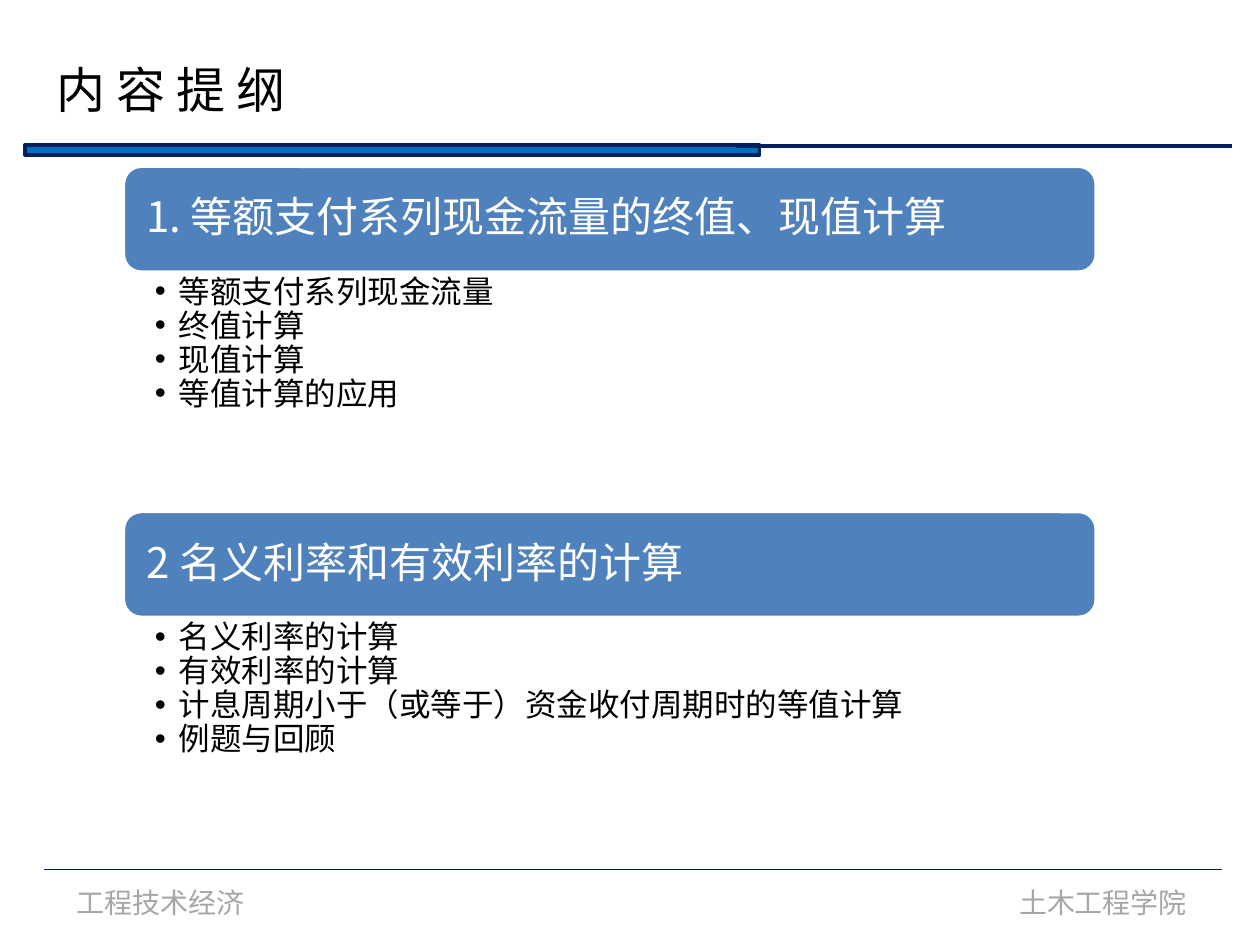
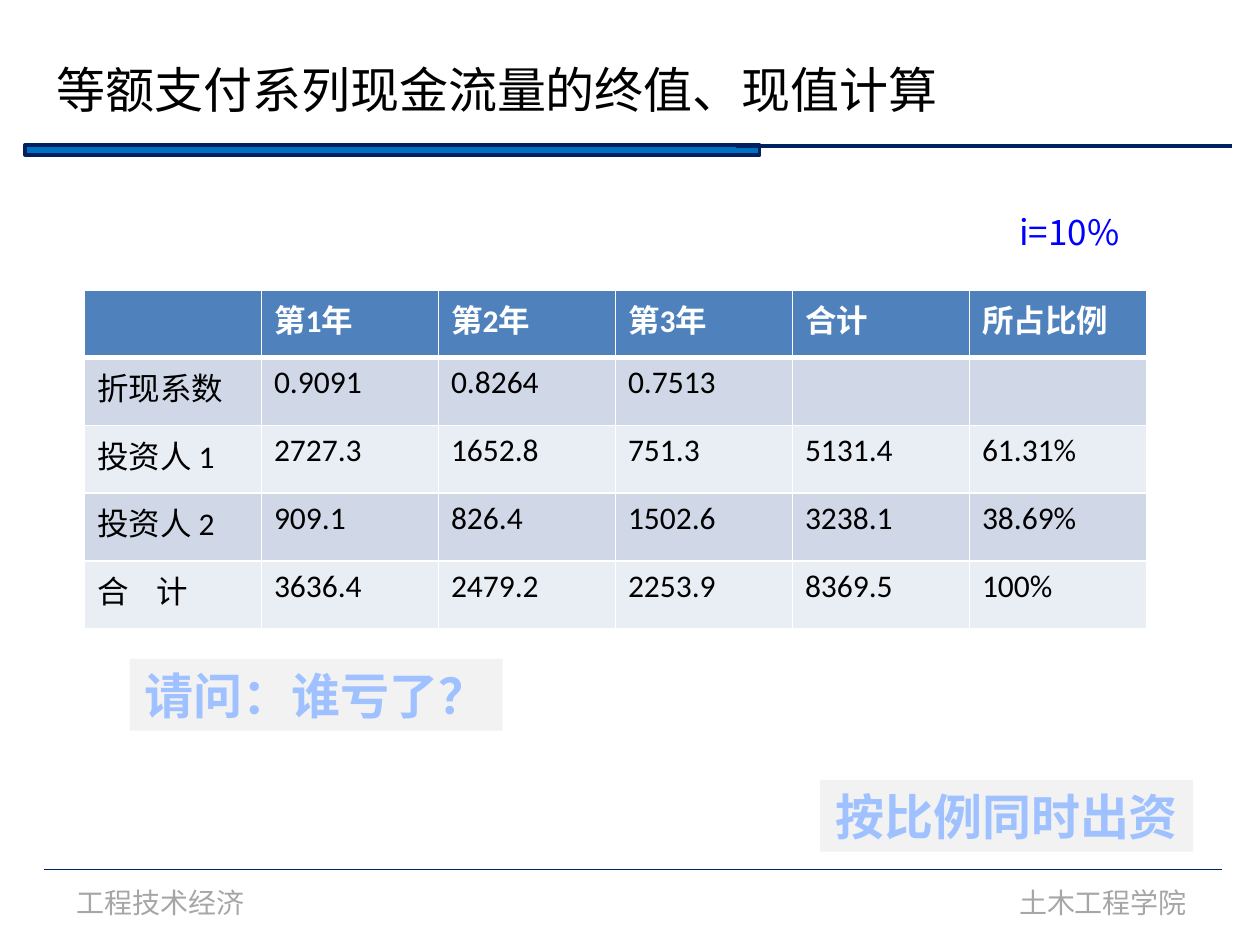
"""Builds two lecture slides: an outline and an investor cash-flow table."""
from lxml import etree
from pptx import Presentation
from pptx import util as u
from pptx.dml.color import RGBColor
from pptx.enum import shapes, text
from pptx.oxml import ns

WIDTH, HEIGHT = 10, 7.5
COLORS = {
    "bar": "0070C0", "navy": "002060", "footer": "A6A6A6", "accent": "4F81BD",
    "band_dark": "D0D8E8", "band_light": "E9EDF4", "label": "F2F2F2",
    "label_text": "A0C1FF", "blue": "0000FF", "white": "FFFFFF", "black": "000000",
}
CJK, LATIN = "Noto Sans CJK SC", "Calibri"

FOOTERS = [("工程技术经济", 0.51), ("土木工程学院", 7.99)]
RULES = [(5.84, 9.78, 1.16, 2.25), (0.35, 9.7, 6.9, 0.75)]

OUTLINE_TITLE = ("内 容 提 纲", 2.12)
OUTLINE = [
    ("1. 等额支付系列现金流量的终值、现值计算",
     ["等额支付系列现金流量", "终值计算", "现值计算", "等值计算的应用"]),
    ("2 名义利率和有效利率的计算",
     ["名义利率的计算", "有效利率的计算",
      "计息周期小于（或等于）资金收付周期时的等值计算", "例题与回顾"]),
]
OUTLINE_LEFT, OUTLINE_TOP, OUTLINE_WIDTH = 0.98, 1.32, 7.72
HEADING_HEIGHT, BULLETS_HEIGHT = 0.84, 1.9

TABLE_TITLE = ("等额支付系列现金流量的终值、现值计算", 7.27)
TABLE = [
    ["", "第1年", "第2年", "第3年", "合计", "所占比例"],
    ["折现系数", "0.9091", "0.8264", "0.7513", "", ""],
    ["投资人 1", "2727.3", "1652.8", "751.3", "5131.4", "61.31%"],
    ["投资人 2", "909.1", "826.4", "1502.6", "3238.1", "38.69%"],
    ["合    计", "3636.4", "2479.2", "2253.9", "8369.5", "100%"],
]
TABLE_BOX = (0.67, 2.3, 8.43, 2.69)
RATE = ("i=10%", (7.99, 1.62, 1.37, 0.44))
LABELS = [("请问：谁亏了？", 1.03, 5.23), ("按比例同时出资", 6.51, 6.19)]


def color(name):
    return RGBColor.from_string(COLORS[name])


def inches(box):
    return [u.Inches(value) for value in box]


def apply(target, **values):
    for name, value in values.items():
        setattr(target, name, value)


def write(frame, lines, size, tint, font=CJK, bold=False, **paragraph_format):
    """Fills a text frame with one formatted paragraph for each line."""
    for index, line in enumerate(lines):
        paragraph = frame.add_paragraph() if index else frame.paragraphs[0]
        apply(paragraph, **paragraph_format)
        run = paragraph.add_run()
        run.text = line
        apply(run.font, size=u.Pt(size), name=font, bold=bold)
        run.font.color.rgb = color(tint)
        east_asian = etree.SubElement(run.font._element, ns.qn("a:ea"))
        east_asian.set("typeface", CJK)


def add_box(slide, box, fill, line=None, kind=shapes.MSO_SHAPE.RECTANGLE):
    shape = slide.shapes.add_shape(kind, *inches(box))
    shape.shadow.inherit = False
    shape.fill.solid()
    shape.fill.fore_color.rgb = color(fill)
    if line:
        shape.line.color.rgb = color(line)
        shape.line.width = u.Pt(2)
    else:
        shape.line.fill.background()
    return shape


def add_text(slide, box, lines, size, tint, wrap=True, font=CJK):
    frame = slide.shapes.add_textbox(*inches(box)).text_frame
    apply(frame, word_wrap=wrap, auto_size=text.MSO_AUTO_SIZE.SHAPE_TO_FIT_TEXT)
    write(frame, lines, size, tint, font)


def add_rule(slide, start, end, top, weight):
    rule = slide.shapes.add_connector(
        shapes.MSO_CONNECTOR.STRAIGHT, *inches((start, top, end, top)))
    rule.line.color.rgb = color("navy")
    rule.line.width = u.Pt(weight)
    etree.SubElement(rule._element.spPr, ns.qn("a:effectLst"))


def add_slide(presentation, title, title_width):
    """Adds a slide with the shared title style, bar, rules and footers."""
    slide = presentation.slides.add_slide(presentation.slide_layouts[5])
    add_box(slide, (0.2, 1.15, 5.83, 0.08), "bar", "navy")
    for rule in RULES:
        add_rule(slide, *rule)
    for footer, left in FOOTERS:
        add_text(slide, (left, 6.98, 1.55, 0.37), [footer], 16, "footer", False, LATIN)
    holder = slide.shapes.title
    left, top, width, height = inches((0.35, 0.42, title_width, 0.57))
    apply(holder, left=left, top=top, width=width, height=height)
    apply(holder.text_frame, word_wrap=False, vertical_anchor=text.MSO_ANCHOR.TOP,
          auto_size=text.MSO_AUTO_SIZE.SHAPE_TO_FIT_TEXT)
    write(holder.text_frame, [title], 28, "black", alignment=text.PP_ALIGN.LEFT)
    return slide


def add_bullets(frame):
    for paragraph in frame.paragraphs:
        properties = paragraph._p.get_or_add_pPr()
        indent = u.Inches(0.19)
        properties.set("marL", str(indent))
        properties.set("indent", str(-indent))
        etree.SubElement(properties, ns.qn("a:buFont")).set("typeface", "Arial")
        etree.SubElement(properties, ns.qn("a:buChar")).set("char", "•")


def add_section(slide, top, heading, points):
    box = (OUTLINE_LEFT, top, OUTLINE_WIDTH, HEADING_HEIGHT)
    banner = add_box(slide, box, "accent", "white", shapes.MSO_SHAPE.ROUNDED_RECTANGLE)
    side = u.Inches(0.14)
    apply(banner.text_frame, margin_left=side, margin_right=side, word_wrap=True,
          vertical_anchor=text.MSO_ANCHOR.MIDDLE)
    write(banner.text_frame, [heading], 24, "white",
          alignment=text.PP_ALIGN.LEFT, line_spacing=0.9)
    frame = slide.shapes.add_textbox(*inches(
        (OUTLINE_LEFT, top + HEADING_HEIGHT, OUTLINE_WIDTH, BULLETS_HEIGHT))).text_frame
    edge = u.Inches(0.03)
    apply(frame, word_wrap=True, margin_left=u.Inches(0.25), margin_right=side,
          margin_top=edge, margin_bottom=edge)
    write(frame, points, 18, "black", level=1, line_spacing=0.9)
    add_bullets(frame)


def set_borders(cell, is_header):
    properties = cell._tc.get_or_add_tcPr()
    weights = {"lnL": 1, "lnR": 1, "lnT": 1, "lnB": 3 if is_header else 1}
    for index, (side, weight) in enumerate(weights.items()):
        border = etree.Element(ns.qn(f"a:{side}"), w=str(u.Pt(weight)))
        fill = etree.SubElement(border, ns.qn("a:solidFill"))
        etree.SubElement(fill, ns.qn("a:srgbClr")).set("val", COLORS["white"])
        properties.insert(index, border)


def add_cash_flow_table(slide):
    table = slide.shapes.add_table(len(TABLE), len(TABLE[0]), *inches(TABLE_BOX)).table
    for row, values in enumerate(TABLE):
        is_header = row == 0
        band = "accent" if is_header else ("band_light", "band_dark")[row % 2]
        for column, value in enumerate(values):
            cell = table.cell(row, column)
            cell.fill.solid()
            cell.fill.fore_color.rgb = color(band)
            set_borders(cell, is_header)
            if value:
                write(cell.text_frame, [value], 18,
                      "white" if is_header else "black", LATIN, is_header)


def add_label(slide, label, left, top):
    shape = add_box(slide, (left, top, 2.96, 0.57), "label")
    apply(shape.text_frame, word_wrap=False,
          auto_size=text.MSO_AUTO_SIZE.SHAPE_TO_FIT_TEXT)
    write(shape.text_frame, [label], 28, "label_text", LATIN, True,
          alignment=text.PP_ALIGN.CENTER)


def main():
    presentation = Presentation()
    apply(presentation, slide_width=u.Inches(WIDTH), slide_height=u.Inches(HEIGHT))

    outline = add_slide(presentation, *OUTLINE_TITLE)
    for index, (heading, points) in enumerate(OUTLINE):
        top = OUTLINE_TOP + index * (HEADING_HEIGHT + BULLETS_HEIGHT)
        add_section(outline, top, heading, points)

    cash_flow = add_slide(presentation, *TABLE_TITLE)
    add_cash_flow_table(cash_flow)
    rate, box = RATE
    add_text(cash_flow, box, [rate], 20, "blue")
    for label in LABELS:
        add_label(cash_flow, *label)

    presentation.save("out.pptx")


if __name__ == "__main__":
    main()
